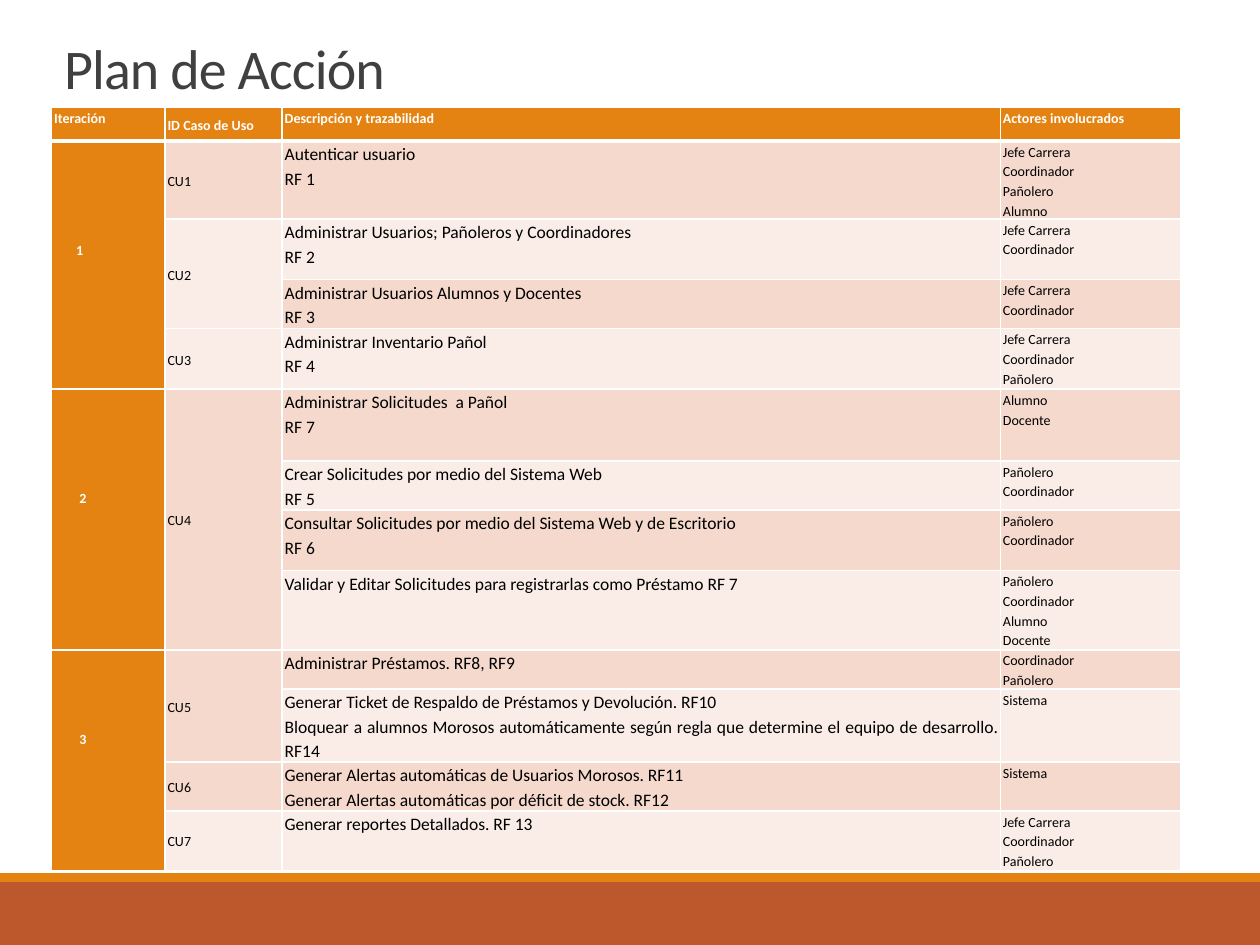
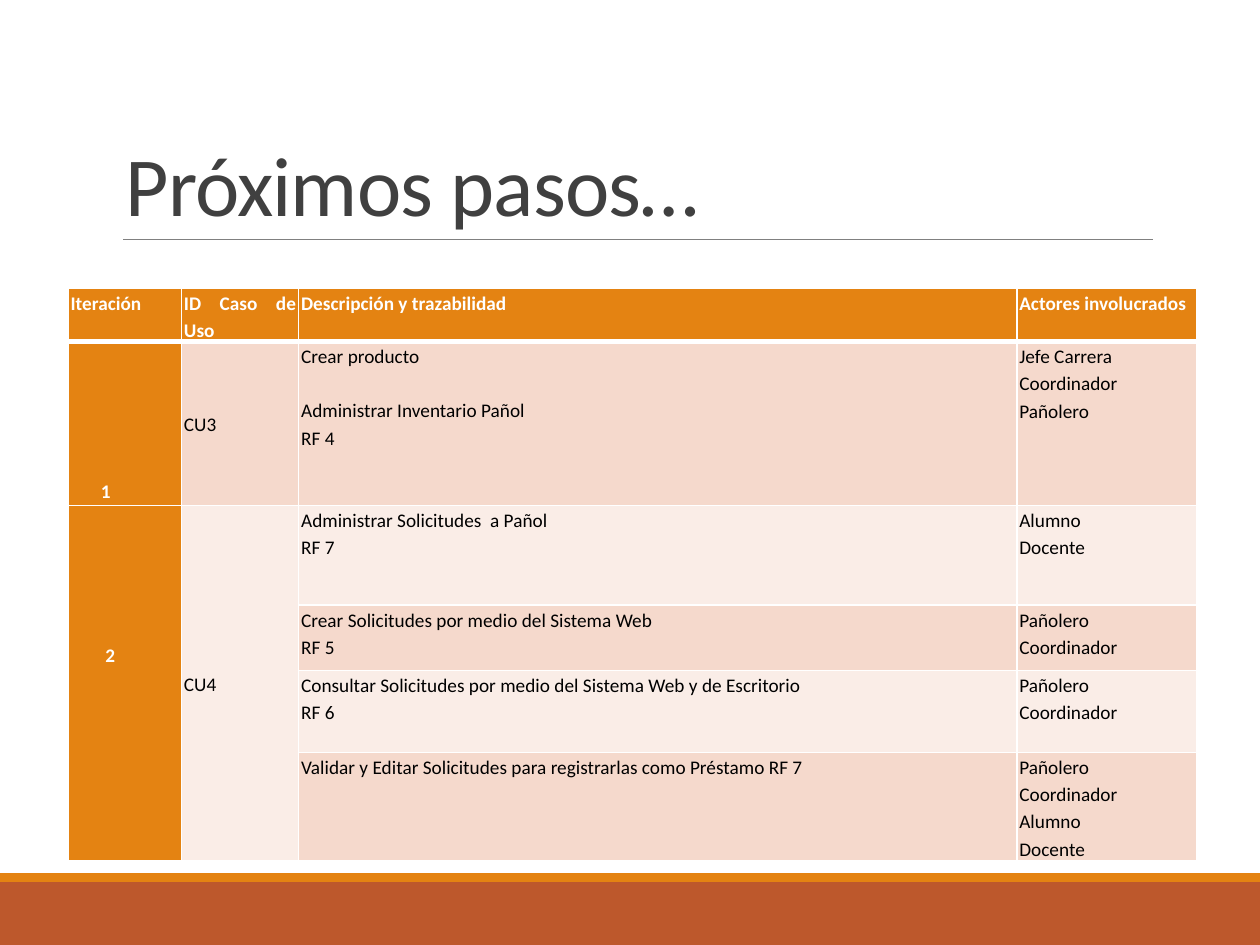
from dataclasses import dataclass

from lxml import etree
from pptx import Presentation
from pptx.dml.color import RGBColor
from pptx.enum import shapes, text
from pptx.oxml import ns
from pptx.util import Inches, Pt


@dataclass(frozen=True)
class Theme:
    font: str = "Calibri"
    orange: str = "E48312"
    rust: str = "BD582C"
    title: str = "404040"
    rule: str = "808080"
    white: str = "FFFFFF"
    black: str = "000000"
    bands: tuple = ("F5D9CC", "FAEDE7")
    line_spacing: float = 1.15
    line_height: float = 1.4
    border: float = 1
    header_border: float = 3


@dataclass(frozen=True)
class Sizes:
    title: int
    label: int
    description: int


@dataclass(frozen=True)
class Iteration:
    number: str
    lines_above: int
    indent_em: float
    cases: list


THEME = Theme()
PLAN_SIZES = Sizes(title=32, label=8, description=10)
NEXT_SIZES = Sizes(title=48, label=11, description=11)
COLUMNS = (0.9, 0.93, 5.7, 1.43)
HEADERS = ("Iteración", "ID Caso de Uso", "Descripción y trazabilidad", "Actores involucrados")

CHIEF, COORDINATOR, STOREKEEPER = "Jefe Carrera", "Coordinador", "Pañolero"
STUDENT, TEACHER, SYSTEM = "Alumno", "Docente", "Sistema"
STOCK = ("Administrar Inventario Pañol", "RF 4")
STOCK_ACTORS = (CHIEF, COORDINATOR, STOREKEEPER)

REQUESTS = Iteration("2", 5, 1.81, [
    ("CU4", [
        (("Administrar Solicitudes  a Pañol", "RF 7"), (STUDENT, TEACHER)),
        (("Crear Solicitudes por medio del Sistema Web", "RF 5"), (STOREKEEPER, COORDINATOR)),
        (("Consultar Solicitudes por medio del Sistema Web y de Escritorio", "RF 6"),
         (STOREKEEPER, COORDINATOR)),
        (("Validar y Editar Solicitudes para registrarlas como Préstamo RF 7",),
         (STOREKEEPER, COORDINATOR, STUDENT, TEACHER)),
    ]),
])

PLAN = [
    Iteration("1", 5, 1.58, [
        ("CU1", [(("Autenticar usuario", "RF 1"),
                  (CHIEF, COORDINATOR, STOREKEEPER, STUDENT))]),
        ("CU2", [
            (("Administrar Usuarios; Pañoleros y Coordinadores", "RF 2"), (CHIEF, COORDINATOR)),
            (("Administrar Usuarios Alumnos y Docentes", "RF 3"), (CHIEF, COORDINATOR)),
        ]),
        ("CU3", [(STOCK, STOCK_ACTORS)]),
    ]),
    REQUESTS,
    Iteration("3", 4, 1.81, [
        ("CU5", [
            (("Administrar Préstamos. RF8, RF9",), (COORDINATOR, STOREKEEPER)),
            (("Generar Ticket de Respaldo de Préstamos y Devolución. RF10",
              "Bloquear a alumnos Morosos automáticamente según regla que determine "
              "el equipo de desarrollo. RF14"), (SYSTEM,)),
        ]),
        ("CU6", [(("Generar Alertas automáticas de Usuarios Morosos. RF11",
                   "Generar Alertas automáticas por déficit de stock. RF12"), (SYSTEM,))]),
        ("CU7", [(("Generar reportes Detallados. RF 13",), STOCK_ACTORS)]),
    ]),
]
PLAN_HEIGHTS = (0.27, 0.62, 0.48, 0.39, 0.48, 0.57, 0.39, 0.48, 0.63, 0.31, 0.58, 0.39, 0.47)

NEXT_STEPS = [
    Iteration("1", 5, 1.58, [("CU3", [(("Crear producto", "") + STOCK, STOCK_ACTORS)])]),
    REQUESTS,
]
NEXT_HEIGHTS = (0.42, 1.3, 0.79, 0.52, 0.65, 0.86)


def color(value):
    return RGBColor.from_string(value)


def apply(target, values):
    for name, value in values.items():
        setattr(target, name, value)


def add_span(para, words, size, ink, bold=False):
    span = para.add_run()
    span.text = words
    apply(span.font, {"name": THEME.font, "size": Pt(size), "bold": bold})
    span.font.color.rgb = color(ink)
    return span


def add_band(page, top, height, fill):
    band = page.shapes.add_shape(
        shapes.MSO_SHAPE.RECTANGLE, 0, Inches(top), Inches(10), Inches(height))
    band.shadow.inherit = False
    band.fill.solid()
    band.fill.fore_color.rgb = color(fill)
    band.line.fill.background()


def add_footer(page):
    add_band(page, 7, 0.5, THEME.rust)
    add_band(page, 6.93, 0.07, THEME.orange)


def add_title(page, box, words, size):
    frame = page.shapes.add_textbox(*map(Inches, box)).text_frame
    apply(frame, {"word_wrap": True, "vertical_anchor": text.MSO_ANCHOR.BOTTOM})
    para = frame.paragraphs[0]
    para.line_spacing = 0.85
    span = add_span(para, words, size, THEME.title)
    span.font._element.set("spc", "-50")


def add_title_rule(page, left, right, top):
    rule = page.shapes.add_connector(
        shapes.MSO_CONNECTOR.STRAIGHT, Inches(left), Inches(top), Inches(right), Inches(top))
    rule.line.color.rgb = color(THEME.rule)
    rule.line.width = Pt(0.5)
    etree.SubElement(rule._element.spPr, ns.qn("a:effectLst"))


def set_borders(cell, top, bottom):
    properties = cell._tc.get_or_add_tcPr()
    widths = {"lnL": THEME.border, "lnR": THEME.border, "lnT": top, "lnB": bottom}
    for position, (side, width) in enumerate(widths.items()):
        line = etree.Element(ns.qn(f"a:{side}"), w=str(int(Pt(width))))
        fill = etree.SubElement(line, ns.qn("a:solidFill"))
        etree.SubElement(fill, ns.qn("a:srgbClr"), val=THEME.white)
        properties.insert(position, line)


def fill_cell(cell, lines, size, fill, ink=THEME.black, bold=False, middle=False):
    anchor = text.MSO_ANCHOR.MIDDLE if middle else text.MSO_ANCHOR.TOP
    apply(cell, {"margin_left": Inches(0.02), "margin_right": Inches(0.02),
                 "margin_top": 0, "margin_bottom": 0, "vertical_anchor": anchor})
    cell.fill.solid()
    cell.fill.fore_color.rgb = color(fill)
    para, gap = cell.text_frame.paragraphs[0], 0
    for index, words in enumerate(lines):
        if not words:
            gap = size * THEME.line_height
            continue
        if index:
            para = cell.text_frame.add_paragraph()
        apply(para, {"alignment": text.PP_ALIGN.JUSTIFY, "space_before": Pt(gap),
                     "line_spacing": THEME.line_spacing})
        add_span(para, words, size, ink, bold)
        gap = 0


def merge_down(table, first, last, column):
    cell = table.cell(first, column)
    if last > first:
        cell.merge(table.cell(last, column))
    return cell


def add_iteration(table, iteration, first, sizes):
    row = first
    for name, entries in iteration.cases:
        case_row = row
        for description, actors in entries:
            band = THEME.bands[(row - 1) % 2]
            fill_cell(table.cell(row, 2), description, sizes.description, band)
            fill_cell(table.cell(row, 3), actors, sizes.label, band)
            row += 1
        case = merge_down(table, case_row, row - 1, 1)
        fill_cell(case, [name], sizes.label, THEME.bands[(case_row - 1) % 2], middle=True)
    cell = merge_down(table, first, row - 1, 0)
    fill_cell(cell, [iteration.number], sizes.label, THEME.orange, THEME.white, bold=True)
    cell.margin_top = Pt(iteration.lines_above * sizes.label * THEME.line_height)
    cell.margin_left += Pt(iteration.indent_em * sizes.label)
    return row


def add_use_case_table(page, left, top, iterations, heights, sizes):
    table = page.shapes.add_table(
        len(heights), len(COLUMNS), Inches(left), Inches(top),
        Inches(sum(COLUMNS)), Inches(sum(heights))).table
    apply(table, {"first_row": False, "horz_banding": False})
    for column, width in zip(table.columns, COLUMNS):
        column.width = Inches(width)
    for row, height in zip(table.rows, heights):
        row.height = Inches(height)
    for index, header in enumerate(HEADERS):
        fill_cell(table.cell(0, index), [header], sizes.label, THEME.orange,
                  THEME.white, bold=True, middle=index == 1)
    row = 1
    for iteration in iterations:
        row = add_iteration(table, iteration, row, sizes)
    for index, table_row in enumerate(table.rows):
        for cell in table_row.cells:
            set_borders(cell,
                        THEME.header_border if index == 1 else THEME.border,
                        THEME.header_border if index == 0 else THEME.border)


def add_page(deck):
    page = deck.slides.add_slide(deck.slide_layouts[6])
    add_footer(page)
    return page


def add_plan(deck):
    page = add_page(deck)
    add_title(page, (0.41, 0.22, 8.25, 0.63), "Plan de Acción", PLAN_SIZES.title)
    add_use_case_table(page, 0.41, 0.85, PLAN, PLAN_HEIGHTS, PLAN_SIZES)


def add_next_steps(deck):
    page = add_page(deck)
    add_title_rule(page, 0.98, 9.15, 1.9)
    add_title(page, (0.9, 0.31, 8.25, 1.59), "Próximos pasos…", NEXT_SIZES.title)
    add_use_case_table(page, 0.54, 2.29, NEXT_STEPS, NEXT_HEIGHTS, NEXT_SIZES)


def main():
    deck = Presentation()
    apply(deck, {"slide_width": Inches(10), "slide_height": Inches(7.5)})
    add_plan(deck)
    add_next_steps(deck)
    deck.save("out.pptx")


if __name__ == "__main__":
    main()
